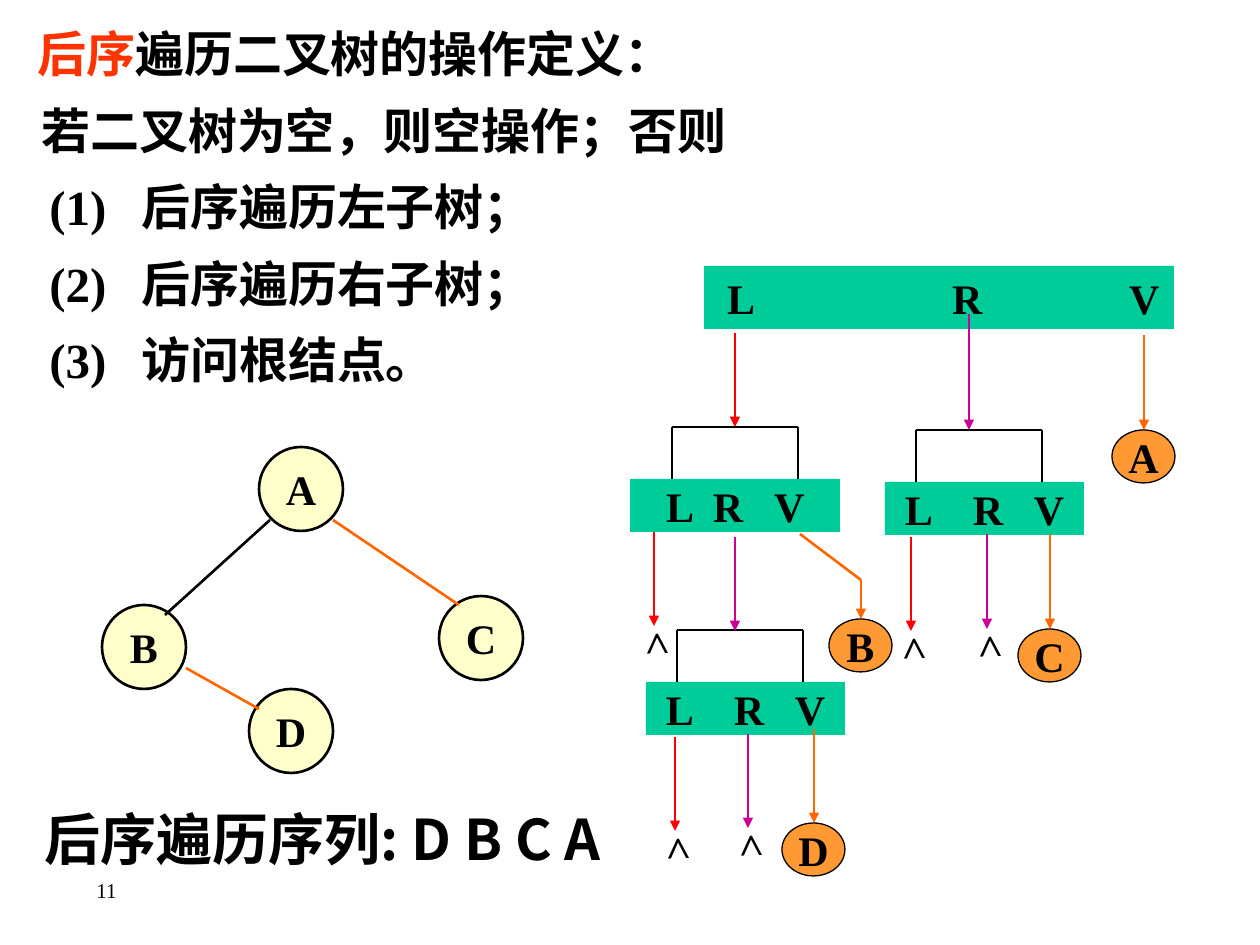
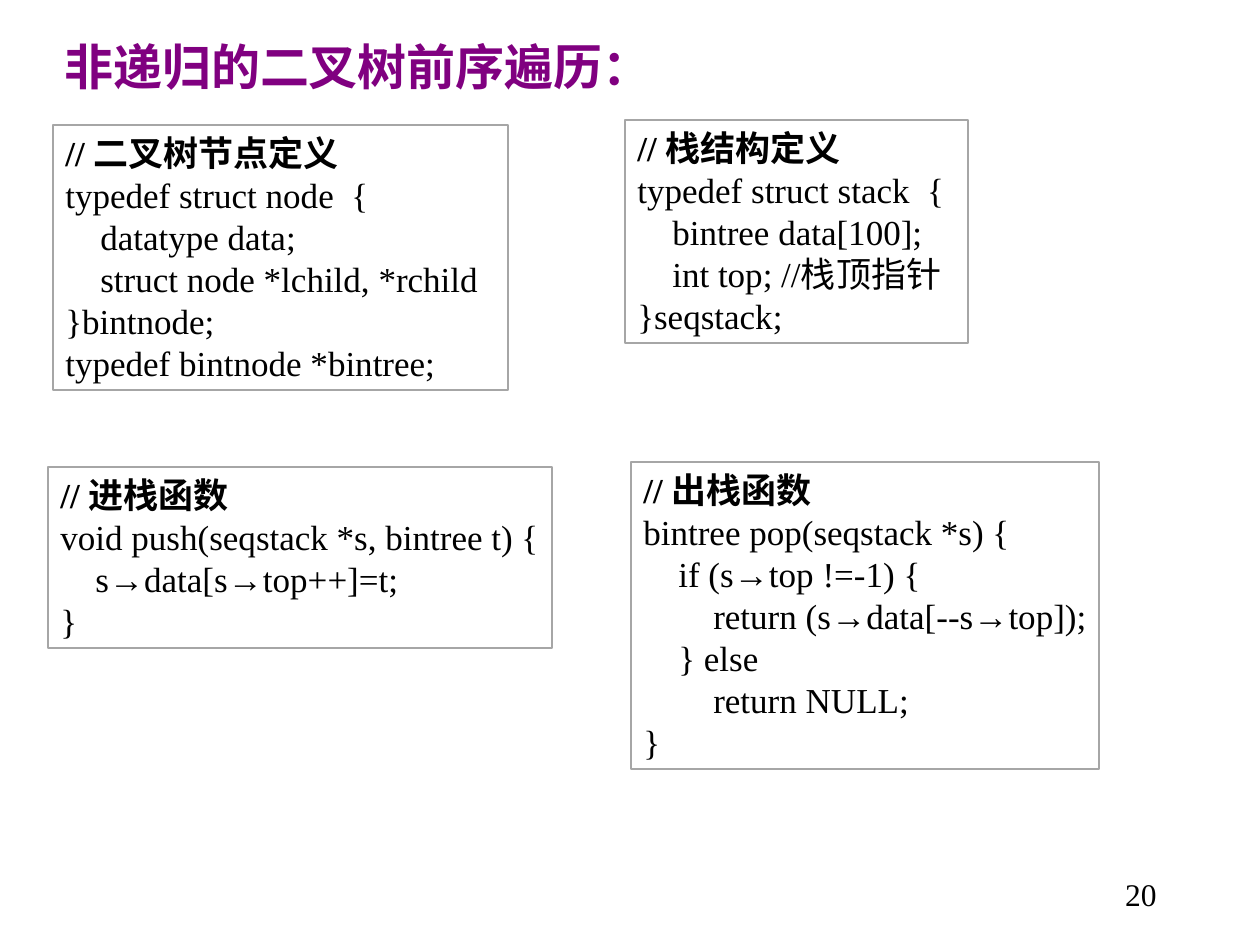
from lxml.etree import SubElement
from pptx import Presentation
from pptx.dml.color import RGBColor
from pptx.enum.shapes import MSO_CONNECTOR as CONN, MSO_SHAPE as SHAPE
from pptx.enum.text import MSO_ANCHOR as ANCHOR, PP_ALIGN as ALIGN
from pptx.oxml.ns import qn
from pptx.util import Emu, Pt

SCALE = 914400 / 126  # EMU in one px
SERIF, SANS, ARROW_FONT = "Times New Roman", "Noto Sans CJK SC", "Arial"
C = {
    "black": "000000", "purple": "800080", "key": "FF3300", "grey": "A6A6A6",
    "band": "00CC99", "node": "FFFFCC", "visit": "FF9933",
    "L": "FF0000", "R": "CC0099", "V": "FF6600",
}

# ---- Content: postorder slide ----
DEFINITION = [  # runs, left margin, first-line indent
    ([("后序", "key"), ("遍历二叉树的操作定义：", "black")], 25, 0),
    ([("若二叉树为空，则空操作；否则", "black")], 29, 0),
    ([("(1)\t后序遍历左子树；", "black")], 129, -92),
    ([("(2)\t后序遍历右子树；", "black")], 129, -92),
    ([("(3)\t访问根结点。", "black")], 129, -92),
]
SEQUENCE = "后序遍历序列: D B C A"

TREE_NODES = {"A": (259, 447), "D": (249, 689), "B": (102, 605), "C": (439, 596)}
TREE_EDGES = [
    (270, 520, 165, 615, "black"),
    (333, 520, 459, 605, "V"),
    (186, 668, 259, 709, "V"),
]
BANDS = [  # box, left edges of L, R, V, left edge of the bracket above
    ((704, 266, 470, 63), (727, 952, 1129), None),
    ((630, 479, 210, 53), (666, 713, 774), 672),
    ((885, 482, 199, 53), (905, 973, 1034), 916),
    ((646, 682, 199, 53), (666, 734, 795), 677),
]
CALLS = [  # x, start, end, step, result below the arrow
    (735, 333, 427, "L", None),
    (969, 314, 430, "R", None),
    (1144, 335, 430, "V", "A"),
    (654, 532, 626, "L", ">"),
    (735, 537, 631, "R", None),
    (861, 580, 619, "V", "B"),
    (911, 537, 631, "L", ">"),
    (987, 534, 629, "R", ">"),
    (1050, 534, 629, "V", "C"),
    (675, 737, 831, "L", ">"),
    (748, 734, 828, "R", ">"),
    (814, 729, 823, "V", "D"),
]

# ---- Content: code slide ----
CODE_TITLE = "非递归的二叉树前序遍历："
LISTINGS = [  # left, top, width, lines
    (53, 125, 455, [
        "// 二叉树节点定义",
        "typedef struct node  {",
        "    datatype data;",
        "    struct node *lchild, *rchild",
        "}bintnode;",
        "typedef bintnode *bintree;",
    ]),
    (625, 120, 343, [
        "// 栈结构定义",
        "typedef struct stack  {",
        "    bintree data[100];",
        "    int top; //栈顶指针",
        "}seqstack;",
    ]),
    (48, 467, 504, [
        "// 进栈函数",
        "void push(seqstack *s, bintree t) {",
        "    s→data[s→top++]=t;",
        "}",
    ]),
    (631, 462, 468, [
        "// 出栈函数",
        "bintree pop(seqstack *s) {",
        "    if (s→top !=-1) {",
        "        return (s→data[--s→top]);",
        "    } else",
        "        return NULL;",
        "}",
    ]),
]


# ---- Helpers ----
def px(n):
    return Emu(round(n * SCALE))


def rgb(name):
    return RGBColor.from_string(C[name])


def add_run(p, words, size, color="black", bold=False, font=SERIF, east=SANS):
    r = p.add_run()
    r.text = words
    r.font.size, r.font.bold, r.font.name = Pt(size), bold, font
    r.font.color.rgb = rgb(color)
    SubElement(r.font._element, qn("a:ea")).set("typeface", east)


def add_tabs(p, stops):
    tabs = SubElement(p._p.get_or_add_pPr(), qn("a:tabLst"))
    for stop in stops:
        SubElement(tabs, qn("a:tab"), pos=str(px(stop)), algn="l")


def frame(sp, wrap=True, anchor=ANCHOR.TOP):
    tf = sp.text_frame
    tf.word_wrap, tf.vertical_anchor = wrap, anchor
    return tf


def text(s, box, words, size, align=ALIGN.LEFT, spacing=None, **fmt):
    sp = s.shapes.add_textbox(*map(px, box))
    p = frame(sp).paragraphs[0]
    p.alignment, p.line_spacing = align, spacing
    add_run(p, words, size, **fmt)
    return sp


def shape(s, kind, box, fill=None, line=None, width=1.5):
    sp = s.shapes.add_shape(kind, *map(px, box))
    sp.shadow.inherit = False
    if fill:
        sp.fill.solid()
        sp.fill.fore_color.rgb = rgb(fill)
    else:
        sp.fill.background()
    if line:
        sp.line.color.rgb, sp.line.width = rgb(line), Pt(width)
    else:
        sp.line.fill.background()
    return sp


def circle(s, box, letter, fill, width):
    sp = shape(s, SHAPE.OVAL, box, fill, "black", width)
    p = frame(sp, False, ANCHOR.MIDDLE).paragraphs[0]
    p.alignment = ALIGN.CENTER
    add_run(p, letter, 24, bold=True)


def line(s, x1, y1, x2, y2, color="black", arrow=False):
    cn = s.shapes.add_connector(CONN.STRAIGHT, *map(px, (x1, y1, x2, y2)))
    cn.line.color.rgb, cn.line.width = rgb(color), Pt(1.5)
    if arrow:
        SubElement(cn.line._get_or_add_ln(), qn("a:tailEnd"), type="triangle")
    SubElement(cn._element.spPr, qn("a:effectLst"))


def band(s, box, letters, bracket):
    x, y, w, h = box
    sp = shape(s, SHAPE.RECTANGLE, box, "band")
    tf = frame(sp, True, ANCHOR.MIDDLE)
    tf.margin_left, tf.margin_right = px(letters[0] - x), 0
    p = tf.paragraphs[0]
    p.alignment = ALIGN.LEFT
    add_tabs(p, [left - letters[0] for left in letters[1:]])
    add_run(p, "L\tR\tV", 24, bold=True)
    if bracket:
        right, top = bracket + 126, y - 52
        line(s, bracket, top, right, top)
        for side in (bracket, right):
            line(s, side, top, side, y)


def call(s, x, start, end, step, result):
    line(s, x, start, x, end, step, arrow=True)
    if result == ">":  # turned upward to mark an empty subtree
        text(s, (x - 26, end - 16, 53, 63), result, 24, bold=True).rotation = 268.3
    elif result:
        circle(s, (x - 32, end, 63, 53), result, "visit", 0.75)


def listing(s, x, y, w, lines):
    sp = shape(s, SHAPE.RECTANGLE, (x, y, w, 42 * len(lines) + 13), None, "grey", 0.75)
    tf = frame(sp)
    tf.margin_right = 0
    for i, code in enumerate(lines):
        p = tf.add_paragraph() if i else tf.paragraphs[0]
        p.alignment = ALIGN.LEFT
        for j, part in enumerate(code.split("→")):
            if j:
                add_run(p, "→", 20, font=ARROW_FONT, east=ARROW_FONT)
            add_run(p, part, 20, bold=i == 0)


# ---- Slides ----
def postorder_slide(prs):
    s = prs.slides.add_slide(prs.slide_layouts[6])
    text(s, (84, 876, 273, 50), "11", 12, spacing=0.8)

    # Binary tree
    for letter, (x, y) in TREE_NODES.items():
        circle(s, (x, y, 84, 84), letter, "node", 1.5)
    for edge in TREE_EDGES:
        line(s, *edge)

    # Trace of the recursive calls
    for row in BANDS:
        band(s, *row)
    line(s, 800, 534, 861, 580, "V")
    for row in CALLS:
        call(s, *row)

    # Definition and resulting sequence
    text(s, (32, 798, 640, 80), SEQUENCE, 32, bold=True, font=SANS)
    tf = frame(s.shapes.add_textbox(*map(px, (0, 0, 844, 396))))
    for i, (runs, margin, indent) in enumerate(DEFINITION):
        p = tf.add_paragraph() if i else tf.paragraphs[0]
        p.line_spacing = 1.3
        pPr = p._p.get_or_add_pPr()
        pPr.set("marL", str(px(margin)))
        pPr.set("indent", str(px(indent)))
        for words, color in runs:
            add_run(p, words, 28, color, bold=True)


def code_slide(prs):
    s = prs.slides.add_slide(prs.slide_layouts[6])
    text(s, (52, 30, 679, 72), CODE_TITLE, 28, color="purple", bold=True)
    for row in LISTINGS:
        listing(s, *row)
    text(s, (907, 869, 262, 63), "20", 18, align=ALIGN.RIGHT)


def main():
    prs = Presentation()
    prs.slide_width, prs.slide_height = px(1260), px(945)
    postorder_slide(prs)
    code_slide(prs)
    prs.save("out.pptx")


if __name__ == "__main__":
    main()
